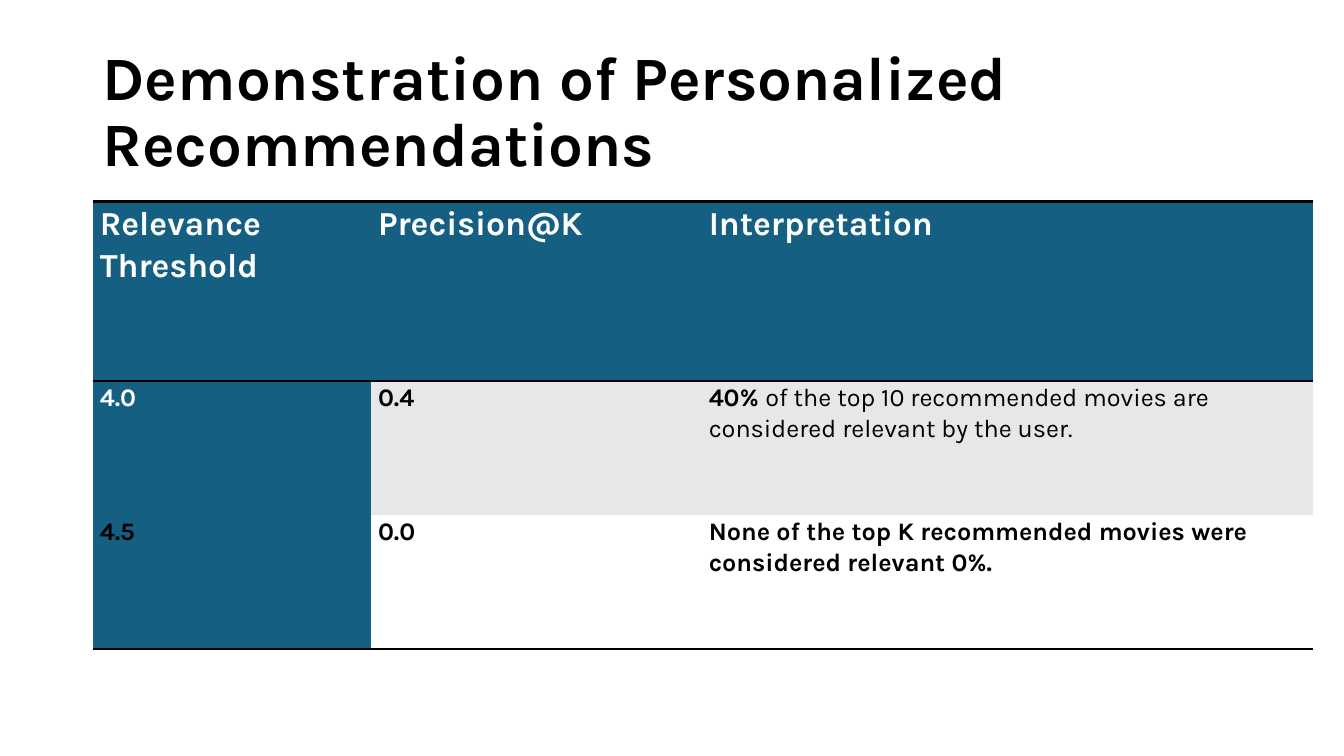
from lxml.etree import SubElement
from pptx import Presentation
from pptx.dml.color import RGBColor
from pptx.enum.text import MSO_ANCHOR
from pptx.oxml.ns import qn
from pptx.util import Inches, Pt

TITLE = "Demonstration of Personalized Recommendations"
# Each cell is a list of (text, bold) runs.
ROWS = [
    [[("Relevance Threshold", True)], [("Precision@K", True)], [("Interpretation", True)]],
    [[("4.0", True)], [("0.4", True)],
     [("40% ", True),
      ("of the top 10 recommended movies are considered relevant by the user.", False)]],
    [[("4.5", True)], [("0.0", True)],
     [("None of the top K recommended movies were considered relevant 0%.", True)]],
]
FILLS = [["156082"] * 3, ["156082", "E7E7E7", "E7E7E7"], ["156082", "FFFFFF", "FFFFFF"]]
TEXT_COLORS = [["FFFFFF"] * 3, ["FFFFFF", "000000", "000000"], ["000000"] * 3]
TEXT_SIZES = [24, 18, 18]
ROW_BORDERS = [("lnT", "lnB"), (), ("lnB",)]
COLUMN_WIDTHS = [2.76, 3.28, 6.06]
ROW_HEIGHTS = [1.78, 1.33, 1.33]
TABLE_LEFT, TABLE_TOP = 0.92, 2
PLAIN_TABLE_STYLE = "{2D5ABB26-0587-4C30-8999-92F81FD0307C}"
CELL_FORMAT = {
    "margin_left": Inches(0.07), "margin_right": Inches(0.07),
    "margin_top": 0, "margin_bottom": 0, "vertical_anchor": MSO_ANCHOR.TOP,
}
CELL_PARAGRAPH = {"line_spacing": 1.07, "space_after": Pt(8)}


def color(hex_value):
    return RGBColor.from_string(hex_value)


def set_values(target, values):
    for name, value in values.items():
        setattr(target, name, value)


def write_runs(paragraph, runs, size, text_color, paragraph_format):
    set_values(paragraph, paragraph_format)
    for text, bold in runs:
        run = paragraph.add_run()
        run.text = text
        set_values(run.font, {"name": "Karla", "size": Pt(size), "bold": bold})
        run.font.color.rgb = color(text_color)


def add_border(cell, side):
    """Draw a black two-point line on one side; call before filling the cell."""
    line = SubElement(cell._tc.get_or_add_tcPr(), qn(f"a:{side}"), w=str(Pt(2)))
    SubElement(SubElement(line, qn("a:solidFill")), qn("a:srgbClr"), val="000000")


def add_title(slide):
    box = slide.shapes.add_textbox(Inches(0.92), Inches(0.4), Inches(11.5), Inches(1.45))
    frame = box.text_frame
    set_values(frame, {"word_wrap": True, "vertical_anchor": MSO_ANCHOR.MIDDLE})
    write_runs(frame.paragraphs[0], [(TITLE, True)], 44, "000000", {"line_spacing": 0.9})


def add_results_table(slide):
    table = slide.shapes.add_table(
        len(ROWS), len(COLUMN_WIDTHS), Inches(TABLE_LEFT), Inches(TABLE_TOP),
        Inches(sum(COLUMN_WIDTHS)), Inches(sum(ROW_HEIGHTS))).table
    table.horz_banding = False
    table._tbl.tblPr.find(qn("a:tableStyleId")).text = PLAIN_TABLE_STYLE
    for column, width in zip(table.columns, COLUMN_WIDTHS):
        column.width = Inches(width)
    for row, height in zip(table.rows, ROW_HEIGHTS):
        row.height = Inches(height)
    for row_index, row in enumerate(ROWS):
        for column_index, runs in enumerate(row):
            cell = table.cell(row_index, column_index)
            set_values(cell, CELL_FORMAT)
            for side in ROW_BORDERS[row_index]:
                add_border(cell, side)
            cell.fill.solid()
            cell.fill.fore_color.rgb = color(FILLS[row_index][column_index])
            write_runs(cell.text_frame.paragraphs[0], runs, TEXT_SIZES[row_index],
                       TEXT_COLORS[row_index][column_index], CELL_PARAGRAPH)


def main():
    presentation = Presentation()
    set_values(presentation, {"slide_width": Inches(13.33), "slide_height": Inches(7.5)})
    slide = presentation.slides.add_slide(presentation.slide_layouts[6])
    add_title(slide)
    add_results_table(slide)
    presentation.save("out.pptx")


if __name__ == "__main__":
    main()
